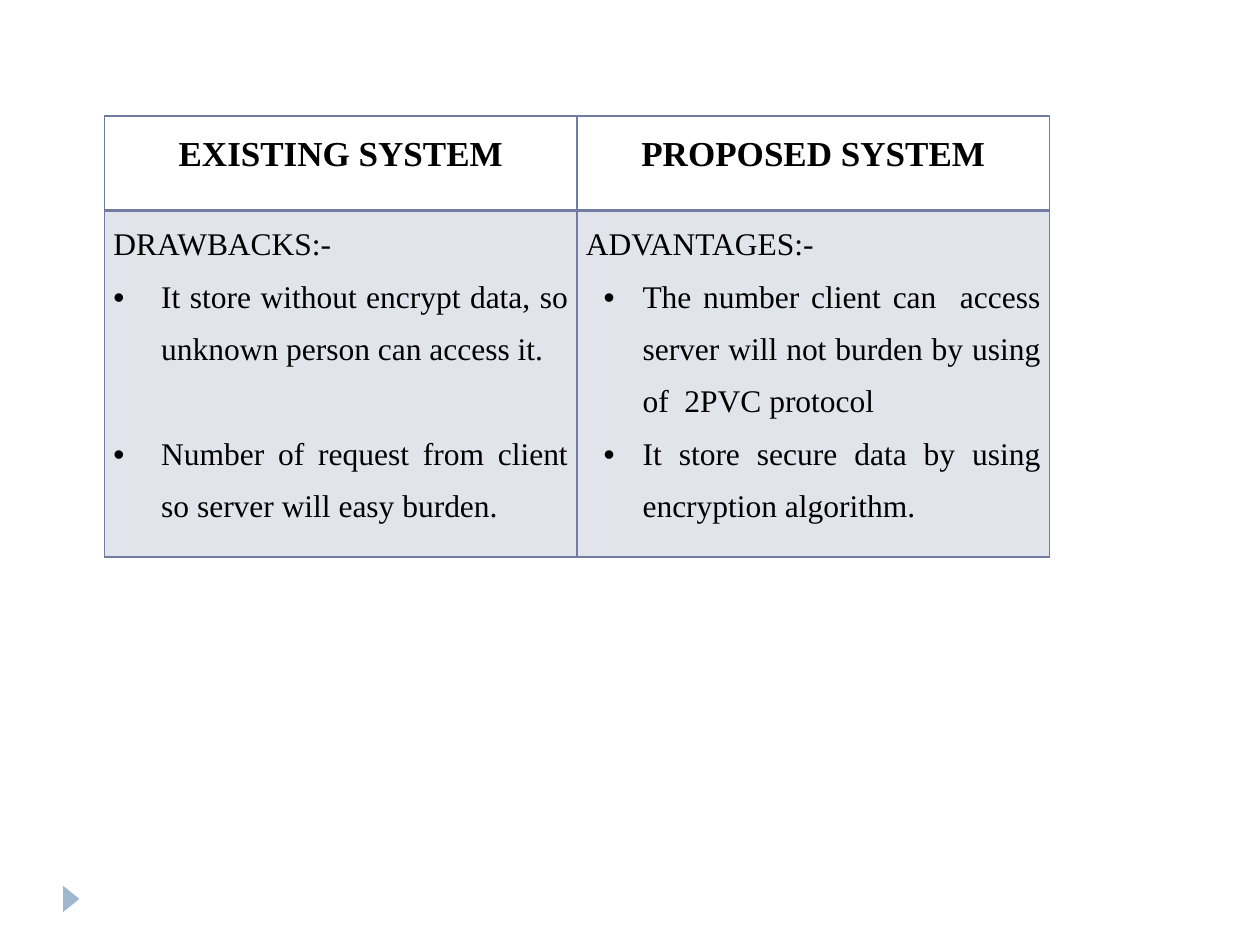
from dataclasses import dataclass

import pptx
import pptx.dml.color
import pptx.enum.shapes
import pptx.enum.text
import pptx.oxml
import pptx.oxml.ns
import pptx.table
import pptx.text.text
import pptx.util

Inches = pptx.util.Inches
Pt = pptx.util.Pt
Align = pptx.enum.text.PP_ALIGN

FONT = "Times New Roman"
COLORS = {"text": "000000", "accent": "727CA3", "marker": "9FB8CD"}
BODY_TINT = 20  # percent opacity of the body cells
LINE_SPACING = 1.5


@dataclass
class Column:
    header: str
    title: str
    points: list[str]
    indent: float
    hanging: float
    level: int = 0
    point_gap: float = 0


COLUMNS = [
    Column(
        "EXISTING SYSTEM",
        "DRAWBACKS:-",
        [
            "It store without encrypt data, so unknown person can access it.",
            "Number of request from client so server will easy burden.",
        ],
        indent=0.38,
        hanging=0.38,
        point_gap=30,
    ),
    Column(
        "PROPOSED SYSTEM",
        "ADVANTAGES:-",
        [
            "The number client can  access server will not burden by using of  2PVC protocol",
            "It store secure data by using encryption algorithm.",
        ],
        indent=0.45,
        hanging=0.31,
        level=1,
    ),
]


def rgb(name: str) -> pptx.dml.color.RGBColor:
    return pptx.dml.color.RGBColor.from_string(COLORS[name])


def write(
    paragraph: pptx.text.text._Paragraph,
    text: str,
    size: float,
    align: Align,
    bold: bool = False,
) -> None:
    paragraph.alignment = align
    paragraph.line_spacing = LINE_SPACING
    run = paragraph.add_run()
    run.text = text
    run.font.name = FONT
    run.font.size = Pt(size)
    run.font.bold = bold
    run.font.color.rgb = rgb("text")


def add_bullet(
    paragraph: pptx.text.text._Paragraph, indent: float, hanging: float
) -> None:
    properties = paragraph._p.get_or_add_pPr()
    properties.set("marL", str(Inches(indent)))
    properties.set("indent", str(-Inches(hanging)))
    namespace = pptx.oxml.ns.nsdecls("a")
    for xml in (
        f'<a:buFont {namespace} typeface="Arial"/>',
        f'<a:buChar {namespace} char="•"/>',
    ):
        properties.append(pptx.oxml.parse_xml(xml))


def set_borders(cell: pptx.table._Cell, **widths: float) -> None:
    """Draw all four borders, 1 pt wide unless a side (L, R, T, B) says otherwise."""
    properties = cell._tc.get_or_add_tcPr()
    for position, side in enumerate("LRTB"):
        line = pptx.oxml.parse_xml(
            f'<a:ln{side} {pptx.oxml.ns.nsdecls("a")} w="{Pt(widths.get(side, 1))}">'
            f'<a:solidFill><a:srgbClr val="{COLORS["accent"]}"/></a:solidFill>'
            f"</a:ln{side}>"
        )
        properties.insert(position, line)


def fill_tint(cell: pptx.table._Cell) -> None:
    cell.fill.solid()
    cell.fill.fore_color.rgb = rgb("accent")
    color = cell._tc.tcPr.find(".//" + pptx.oxml.ns.qn("a:srgbClr"))
    alpha = f'<a:alpha {pptx.oxml.ns.nsdecls("a")} val="{BODY_TINT * 1000}"/>'
    color.append(pptx.oxml.parse_xml(alpha))


def set_margins(cell: pptx.table._Cell) -> None:
    cell.margin_left = cell.margin_right = Inches(0.07)
    cell.margin_top = cell.margin_bottom = 0


def draw_header(cell: pptx.table._Cell, column: Column) -> None:
    set_margins(cell)
    cell.fill.background()
    set_borders(cell, B=2)
    paragraph = cell.text_frame.paragraphs[0]
    write(paragraph, column.header, 20, Align.CENTER, bold=True)
    paragraph.space_before = paragraph.space_after = Pt(6)


def draw_body(cell: pptx.table._Cell, column: Column) -> None:
    set_margins(cell)
    fill_tint(cell)
    set_borders(cell, T=2)
    write(cell.text_frame.paragraphs[0], column.title, 18, Align.JUSTIFY)
    for index, point in enumerate(column.points):
        paragraph = cell.text_frame.add_paragraph()
        paragraph.level = column.level
        write(paragraph, point, 18, Align.JUSTIFY)
        paragraph.space_before = Pt(column.point_gap if index else 0)
        add_bullet(paragraph, column.indent, column.hanging)


def main() -> None:
    presentation = pptx.Presentation()
    presentation.slide_width = Inches(10)
    presentation.slide_height = Inches(7.5)
    slide = presentation.slides.add_slide(presentation.slide_layouts[6])

    marker = slide.shapes.add_shape(
        pptx.enum.shapes.MSO_SHAPE.ISOSCELES_TRIANGLE,
        Inches(0.46), Inches(7.07), Inches(0.21), Inches(0.13),
    )
    marker.rotation = 90
    marker.shadow.inherit = False
    marker.fill.solid()
    marker.fill.fore_color.rgb = rgb("marker")
    marker.line.fill.background()

    table = slide.shapes.add_table(
        2, len(COLUMNS), Inches(0.83), Inches(0.92), Inches(7.5), Inches(3.5)
    ).table
    table.first_row = table.horz_banding = False
    table.rows[0].height = Inches(0.75)
    table.rows[1].height = Inches(2.75)
    for index, column in enumerate(COLUMNS):
        draw_header(table.cell(0, index), column)
        draw_body(table.cell(1, index), column)

    presentation.save("out.pptx")


if __name__ == "__main__":
    main()
